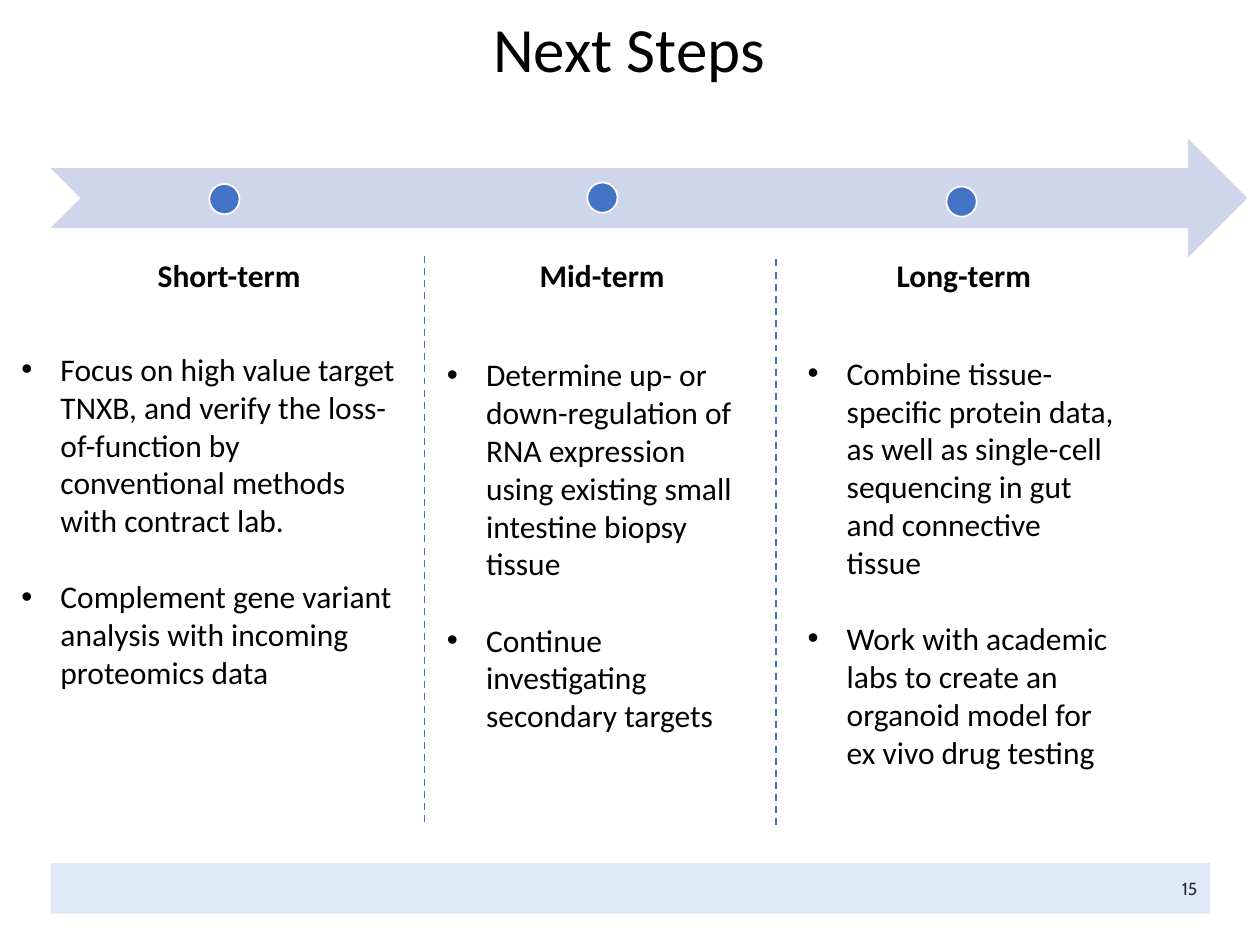
"""Build the Next Steps slide: a timeline arrow above three columns of plans."""
from dataclasses import dataclass

from lxml.etree import SubElement
from pptx import Presentation
from pptx.dml.color import RGBColor
from pptx.enum.dml import MSO_LINE
from pptx.enum.shapes import MSO_CONNECTOR, MSO_SHAPE
from pptx.enum.text import MSO_ANCHOR, PP_ALIGN
from pptx.oxml.ns import qn
from pptx.util import Cm, Pt


@dataclass(frozen=True)
class Theme:
    black: RGBColor = RGBColor.from_string("000000")
    white: RGBColor = RGBColor.from_string("FFFFFF")
    blue: RGBColor = RGBColor.from_string("4472C4")
    arrow: RGBColor = RGBColor.from_string("CFD5EA")
    band: RGBColor = RGBColor.from_string("DEEBF7")
    ink: RGBColor = RGBColor.from_string("2C2D31")
    font: str = "Calibri"
    small: str = "Cabin"
    title: Pt = Pt(36)
    body: Pt = Pt(18)
    page: Pt = Pt(10)


theme = Theme()
deck = Presentation()
deck.slide_width, deck.slide_height = Cm(25.4), Cm(19.05)
slide = deck.slides.add_slide(deck.slide_layouts[6])
shapes = slide.shapes


def add_form(kind, box, fill):
    form = shapes.add_shape(kind, *map(Cm, box))
    form.shadow.inherit = False
    form.fill.solid()
    form.fill.fore_color.rgb = fill
    form.line.fill.background()
    return form


def style(para, size, align=PP_ALIGN.LEFT, bold=False, name=theme.font, color=theme.black):
    para.alignment = align
    for run in para.runs:
        font = run.font
        font.name, font.size, font.bold = name, size, bold
        font.color.rgb = color


add_form(MSO_SHAPE.NOTCHED_RIGHT_ARROW, (1.02, 2.79, 24.13, 2.41), theme.arrow)
for left, top in ((4.22, 3.71), (11.84, 3.68), (19.08, 3.76)):
    dot = add_form(MSO_SHAPE.OVAL, (left, top, 0.61, 0.61), theme.blue)
    dot.line.color.rgb = theme.white
    dot.line.width = Pt(1)

title = shapes.add_textbox(Cm(0.66), Cm(0), Cm(24.05), Cm(2.11)).text_frame
title.word_wrap = True
title.vertical_anchor = MSO_ANCHOR.MIDDLE
title.text = "Next Steps"
title.paragraphs[0].line_spacing = 0.9
style(title.paragraphs[0], theme.title, PP_ALIGN.CENTER)

for left, top in ((8.56, 5.16), (15.65, 5.23)):
    rule = shapes.add_connector(MSO_CONNECTOR.STRAIGHT, Cm(left), Cm(top), Cm(left), Cm(16.64))
    rule.line.color.rgb = theme.blue
    rule.line.width = Pt(1)
    rule.line.dash_style = MSO_LINE.DASH
    SubElement(rule._element.spPr, qn("a:effectLst"))

terms = (
    ("Short-term", 1.19, (0.18, 6.93, 8.28, 7.19), (
        "Focus on high value target TNXB, and verify the loss-of-function "
        "by conventional methods with contract lab.",
        "Complement gene variant analysis with incoming proteomics data")),
    ("Mid-term", 8.71, (8.76, 7.04, 6.68, 8.7), (
        "Determine up- or down-regulation of RNA expression using existing "
        "small intestine biopsy tissue",
        "Continue investigating secondary targets")),
    ("Long-term", 16, (16.03, 7.01, 6.68, 8.7), (
        "Combine tissue-specific protein data, as well as single-cell "
        "sequencing in gut and connective tissue",
        "Work with academic labs to create an organoid model for ex vivo drug testing")),
)
for name, left, box, plans in terms:
    head = shapes.add_textbox(Cm(left), Cm(5.03), Cm(6.86), Cm(1.02)).text_frame
    head.word_wrap = True
    head.text = name
    style(head.paragraphs[0], theme.body, PP_ALIGN.CENTER, bold=True)

    frame = shapes.add_textbox(*map(Cm, box)).text_frame
    frame.word_wrap = True
    frame.text = "\n".join(plans)
    for index, para in enumerate(frame.paragraphs):
        props = para._p.get_or_add_pPr()
        props.set("marL", str(Cm(0.79)))
        props.set("indent", str(-Cm(0.79)))
        SubElement(props, qn("a:buFont"), typeface="Arial")
        SubElement(props, qn("a:buChar"), char="•")
        if index:
            para.space_before = Pt(22)
        style(para, theme.body)

foot = add_form(MSO_SHAPE.RECTANGLE, (1.02, 17.4, 23.37, 1.02), theme.band).text_frame
foot.vertical_anchor = MSO_ANCHOR.MIDDLE
foot.text = "15"
style(foot.paragraphs[0], theme.page, PP_ALIGN.RIGHT, name=theme.small, color=theme.ink)

deck.save("out.pptx")
